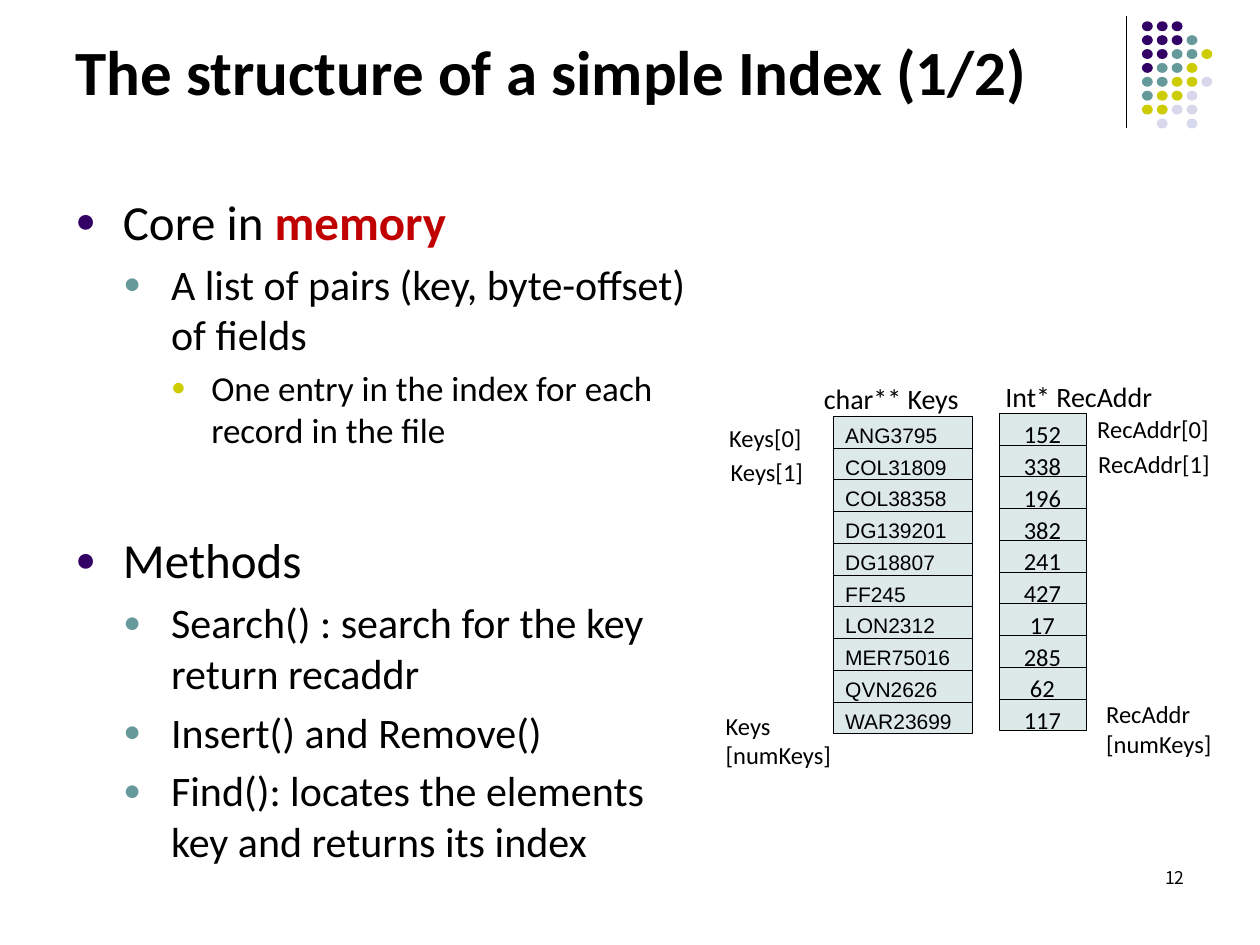
from lxml.etree import SubElement
from pptx import Presentation
from pptx.enum.shapes import MSO_CONNECTOR, MSO_SHAPE
from pptx.enum.text import MSO_ANCHOR, PP_ALIGN
from pptx.dml.color import RGBColor
from pptx.oxml.ns import qn
from pptx.util import Cm, Pt

BLACK, PURPLE, TEAL, OLIVE, LILAC = "000000", "330066", "669999", "CCCC00", "D8D8EC"


def paint(fill, color):
    """Make a shape, line or font fill solid in a hex colour."""
    fill.solid()
    fill.fore_color.rgb = RGBColor.from_string(color)


def write(shape, text, size, font="Calibri", align=PP_ALIGN.LEFT, bold=False):
    """Put black text into a shape, one paragraph per line."""
    frame = shape.text_frame
    frame.word_wrap = True
    frame.vertical_anchor = MSO_ANCHOR.TOP
    frame.text = text
    for paragraph in frame.paragraphs:
        paragraph.alignment = align
        paragraph.font.name = font
        paragraph.font.size = Pt(size)
        paragraph.font.bold = bold
        paint(paragraph.font.fill, BLACK)


presentation = Presentation()
presentation.slide_width = Cm(25.4)
presentation.slide_height = Cm(19.05)
slide = presentation.slides.add_slide(presentation.slide_layouts[6])
shapes = slide.shapes

# Corner ornament: a rule and a grid of dots
rule = shapes.add_connector(MSO_CONNECTOR.STRAIGHT, Cm(22.71), Cm(0.33), Cm(22.71), Cm(2.59))
rule.line.width = Pt(0.75)
paint(rule.line.fill, BLACK)
SubElement(rule._element.spPr, qn("a:effectLst"))

dot_colors = {"P": PURPLE, "T": TEAL, "O": OLIVE, "L": LILAC}
dot_rows = ["PPP", "PPPT", "PPTTO", "PTTO", "TTOOL", "TOOL", "OOLL", " L L"]
for row, codes in enumerate(dot_rows):
    for column, code in enumerate(codes):
        if code in dot_colors:
            dot = shapes.add_shape(MSO_SHAPE.OVAL, Cm(23.02 + 0.3 * column),
                                   Cm(0.43 + 0.28 * row), Cm(0.22), Cm(0.2))
            dot.shadow.inherit = False
            paint(dot.fill, dot_colors[code])
            dot.line.fill.background()

# Title and page number
title = shapes.add_textbox(Cm(1.27), Cm(0.13), Cm(21.44), Cm(2.59))
write(title, "The structure of a simple Index (1/2)", 36, bold=True)
title.text_frame.vertical_anchor = MSO_ANCHOR.MIDDLE

page_number = shapes.add_textbox(Cm(18.21), Cm(17.35), Cm(5.92), Cm(1.27))
write(page_number, "12", 10, "Noto Sans CJK KR", PP_ALIGN.RIGHT)

# Outline: (level, space before in points, runs); every second run is emphasised
outline = [
    (0, 5.6, ["Core in ", "memory"]),
    (1, 4.8, ["A list of pairs (key, byte-offset) of fields"]),
    (2, 4, ["One entry in the index for each record in the file"]),
    (0, 45.4, ["Methods"]),
    (1, 4.8, ["Search() : search for the key return recaddr"]),
    (1, 4.8, ["Insert() and Remove()"]),
    (1, 4.8, ["Find(): locates the elements key and returns its index"]),
]
# Per level: text size, left margin, hanging indent, bullet colour
levels = [(28, 0.96, 0.96, PURPLE), (24, 1.93, 0.96, TEAL), (20, 2.74, 0.81, OLIVE)]

body = shapes.add_textbox(Cm(1.27), Cm(3.73), Cm(13.31), Cm(13.31))
body.text_frame.word_wrap = True
for index, (level, space, texts) in enumerate(outline):
    size, margin, hanging, bullet_color = levels[level]
    item = body.text_frame.add_paragraph() if index else body.text_frame.paragraphs[0]
    item.level = level
    item.space_before = Pt(space)
    item.font.size = Pt(size)
    item.font.name = "Calibri"
    for position, text in enumerate(texts):
        run = item.add_run()
        run.text = text
        run.font.bold = position == 1
        paint(run.font.fill, "C00000" if position else BLACK)
    properties = item._p.get_or_add_pPr()
    properties.set("marL", str(Cm(margin)))
    properties.set("indent", str(-Cm(hanging)))
    bullet = SubElement(properties, qn("a:buClr"))
    SubElement(bullet, qn("a:srgbClr"), val=bullet_color)
    SubElement(properties, qn("a:buSzPct"), val="70000")
    SubElement(properties, qn("a:buFont"), typeface="Arial")
    SubElement(properties, qn("a:buChar"), char="●")
    # The schema wants the default run properties after the bullet
    properties.append(properties.find(qn("a:defRPr")))

# The two parallel arrays
keys = ["ANG3795", "COL31809", "COL38358", "DG139201", "DG18807",
        "FF245", "LON2312", "MER75016", "QVN2626", "WAR23699"]
addresses = ["152", "338", "196", "382", "241", "427", "17", "285", "62", "117"]
arrays = [
    (keys, 16.79, 8.39, 2.82, 12, "Arial", PP_ALIGN.LEFT),
    (addresses, 20.14, 8.33, 1.75, 14, "Calibri", PP_ALIGN.CENTER),
]
row_height = 0.64
for values, left, top, width, size, font, align in arrays:
    for row, value in enumerate(values):
        cell = shapes.add_shape(MSO_SHAPE.RECTANGLE, Cm(left), Cm(top + row_height * row),
                                Cm(width), Cm(row_height))
        cell.shadow.inherit = False
        paint(cell.fill, "DDE9E9")
        paint(cell.line.fill, BLACK)
        cell.line.width = Pt(0.25)
        write(cell, value, size, font, align)

# Array headings and index labels: text, left, top, width, height, size
labels = [
    ("char** Keys", 16.36, 7.57, 4.47, 0.99, 16),
    ("Keys[0]", 14.45, 8.41, 2.34, 0.86, 14),
    ("Keys[1]", 14.48, 9.09, 2.34, 0.86, 14),
    ("Keys\n[numKeys]", 14.38, 14.2, 2.82, 1.45, 14),
    ("Int* RecAddr", 20.02, 7.52, 4.8, 0.99, 16),
    ("RecAddr[0]", 21.87, 8.23, 3.28, 0.86, 14),
    ("RecAddr[1]", 21.89, 8.92, 3.51, 0.86, 14),
    ("RecAddr\n[numKeys]", 22.05, 13.97, 3.12, 1.45, 14),
]
for text, left, top, width, height, size in labels:
    label = shapes.add_textbox(Cm(left), Cm(top), Cm(width), Cm(height))
    write(label, text, size)

presentation.save("out.pptx")
